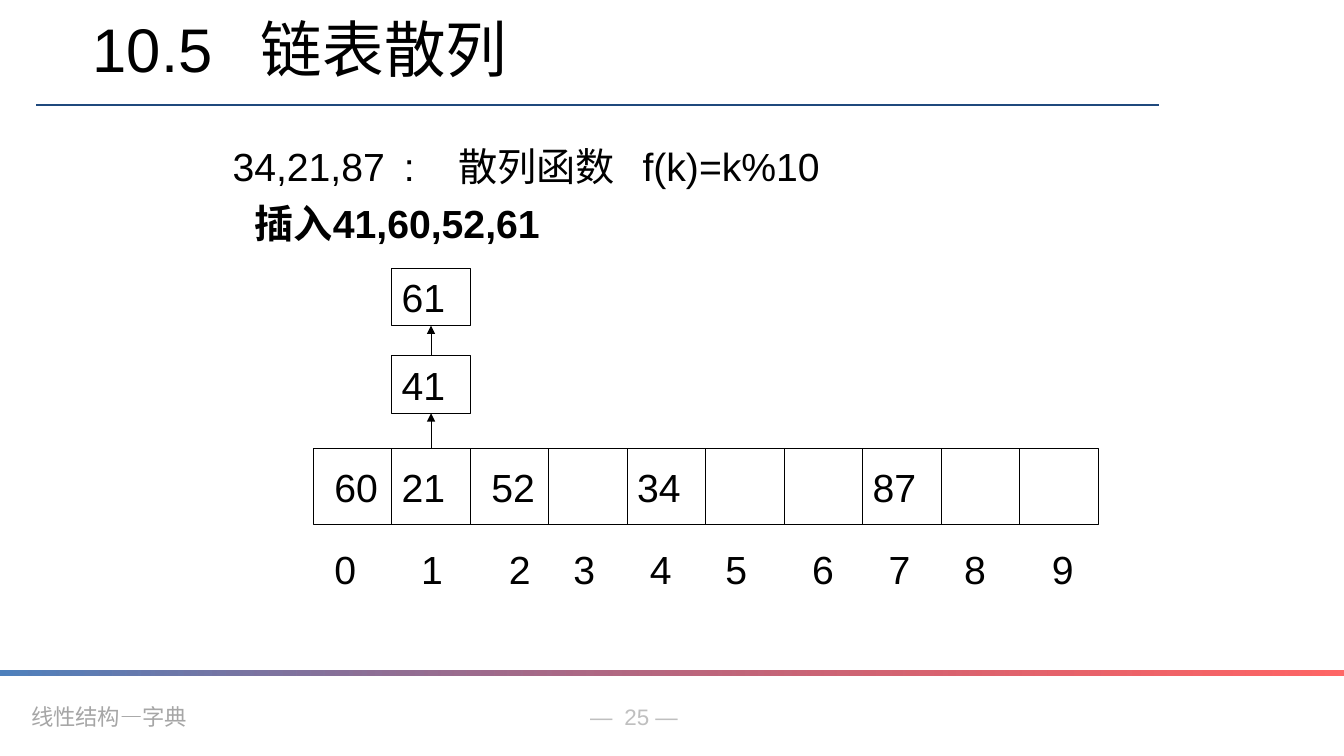
from lxml.etree import SubElement
from pptx import Presentation
from pptx.dml.color import RGBColor
from pptx.enum.shapes import MSO_CONNECTOR, MSO_SHAPE
from pptx.enum.text import MSO_ANCHOR, PP_ALIGN
from pptx.oxml.ns import qn
from pptx.util import Inches, Pt

COLORS = {
    "text": "000000", "rule": "1F497D", "footer": "A6A6A6",
    "number": "BFBFBF", "bar_start": "4F81BD", "bar_end": "FF0000",
}
SLIDE_W, SLIDE_H = 13.34, 7.5
TABLE_X, TABLE_Y, TABLE_W, CELL_H = 3.11, 4.45, 7.79, 0.75
BUCKETS = 10
CELL_W = TABLE_W / BUCKETS
NODE_H = 0.57
INDENT = 0.11
INDEX_TABS = [0.22, 1.08, 1.95, 2.59, 3.35, 4.1, 4.96, 5.72, 6.47, 7.34]


def rgb(name):
    return RGBColor.from_string(COLORS[name])


def box(x, y, w, h):
    return [Inches(v) for v in (x, y, w, h)]


def write(tf, text, size=28, color="text", font="Arial", bold=False,
          tabs=(), tab_align="l", anchor=MSO_ANCHOR.TOP, left=0.1):
    tf.word_wrap = True
    tf.vertical_anchor = anchor
    tf.margin_left, tf.margin_right = Inches(left), Inches(0.1)
    tf.margin_top = tf.margin_bottom = Inches(0.05)
    p = tf.paragraphs[0]
    p.alignment = PP_ALIGN.LEFT
    if tabs:
        tab_list = SubElement(p._p.get_or_add_pPr(), qn("a:tabLst"))
        for pos in tabs:
            SubElement(tab_list, qn("a:tab"), pos=str(Inches(pos)), algn=tab_align)
    r = p.add_run()
    r.text = text
    r.font.size, r.font.bold, r.font.name = Pt(size), bold, font
    r.font.color.rgb = rgb(color)


def add_text(s, text, x, y, w, h, **fmt):
    write(s.shapes.add_textbox(*box(x, y, w, h)).text_frame, text, **fmt)


def add_cell(s, text, column, y, h, left=0.1):
    sp = s.shapes.add_shape(
        MSO_SHAPE.RECTANGLE, *box(TABLE_X + column * CELL_W, y, CELL_W, h))
    sp.shadow.inherit = False
    sp.fill.background()
    sp.line.color.rgb, sp.line.width = rgb("text"), Pt(0.75)
    if text:
        write(sp.text_frame, text, anchor=MSO_ANCHOR.MIDDLE, left=left)
    return sp


def add_line(s, x1, y1, x2, y2, color, width):
    c = s.shapes.add_connector(MSO_CONNECTOR.STRAIGHT, *box(x1, y1, x2, y2))
    c.line.color.rgb, c.line.width = rgb(color), Pt(width)
    SubElement(c._element.spPr, qn("a:effectLst"))
    return c


def add_link(s, lower, upper):
    c = add_line(s, 0, 0, 0, 0, "text", 0.75)
    c.begin_connect(lower, 0)
    c.end_connect(upper, 2)
    SubElement(c.line._get_or_add_ln(), qn("a:tailEnd"), type="triangle")


def add_bar(s, x, y, w, h):
    sp = s.shapes.add_shape(MSO_SHAPE.RECTANGLE, *box(x, y, w, h))
    sp.shadow.inherit = False
    sp.line.fill.background()
    sp.fill.gradient()
    sp.fill.gradient_angle = 0
    for stop, pos, name in zip(sp.fill.gradient_stops, (0, 1), ("bar_start", "bar_end")):
        stop.position, stop.color.rgb = pos, rgb(name)
    end = sp._element.spPr.xpath(".//a:gs[2]/a:srgbClr")[0]
    SubElement(end, qn("a:alpha"), val="60000")


def add_title(s, text):
    sp = s.shapes.title
    sp.left, sp.top, sp.width, sp.height = box(0.82, 0.08, 5.07, 0.79)
    write(sp.text_frame, text, size=44, tabs=[1.67], anchor=MSO_ANCHOR.MIDDLE)


def add_hash_table(s, values, chain):
    cells = [
        add_cell(s, values.get(i), i, TABLE_Y, CELL_H,
                 left=0.1 + (INDENT if i in (0, 2) else 0))
        for i in range(BUCKETS)
    ]
    lower = cells[1]
    for text, y in chain:
        node = add_cell(s, text, 1, y, NODE_H)
        add_link(s, lower, node)
        lower = node
    indexes = "".join(f"\t{i}" for i in range(BUCKETS))
    add_text(s, indexes, TABLE_X, 5.36, 7.93, NODE_H, tabs=INDEX_TABS, tab_align="ctr")


def main():
    prs = Presentation()
    prs.slide_width, prs.slide_height = Inches(SLIDE_W), Inches(SLIDE_H)
    s = prs.slides.add_slide(prs.slide_layouts[5])
    add_title(s, "10.5\t链表散列")
    add_line(s, 0.36, 1.04, 11.5, 1.04, "rule", 1)
    add_bar(s, 0, 6.65, SLIDE_W, 0.05)
    add_text(s, "线性结构—字典", 0.21, 6.93, 3.02, 0.37, size=16,
             color="footer", font="DejaVu Sans Mono")
    add_text(s, "—\t25 —", 5.76, 6.93, 1.9, 0.37, size=16, color="number", tabs=[0.34])
    add_text(s, "34,21,87\t:\t散列函数\tf(k)=k%10", 2.21, 1.36, 6.3, NODE_H,
             tabs=[1.7, 2.24, 4.07])
    add_text(s, "插入41,60,52,61", 2.43, 1.93, 3.4, NODE_H, bold=True)
    add_hash_table(s, {0: "60", 1: "21", 2: "52", 4: "34", 7: "87"},
                   [("41", 3.53), ("61", 2.66)])
    prs.save("out.pptx")


if __name__ == "__main__":
    main()
